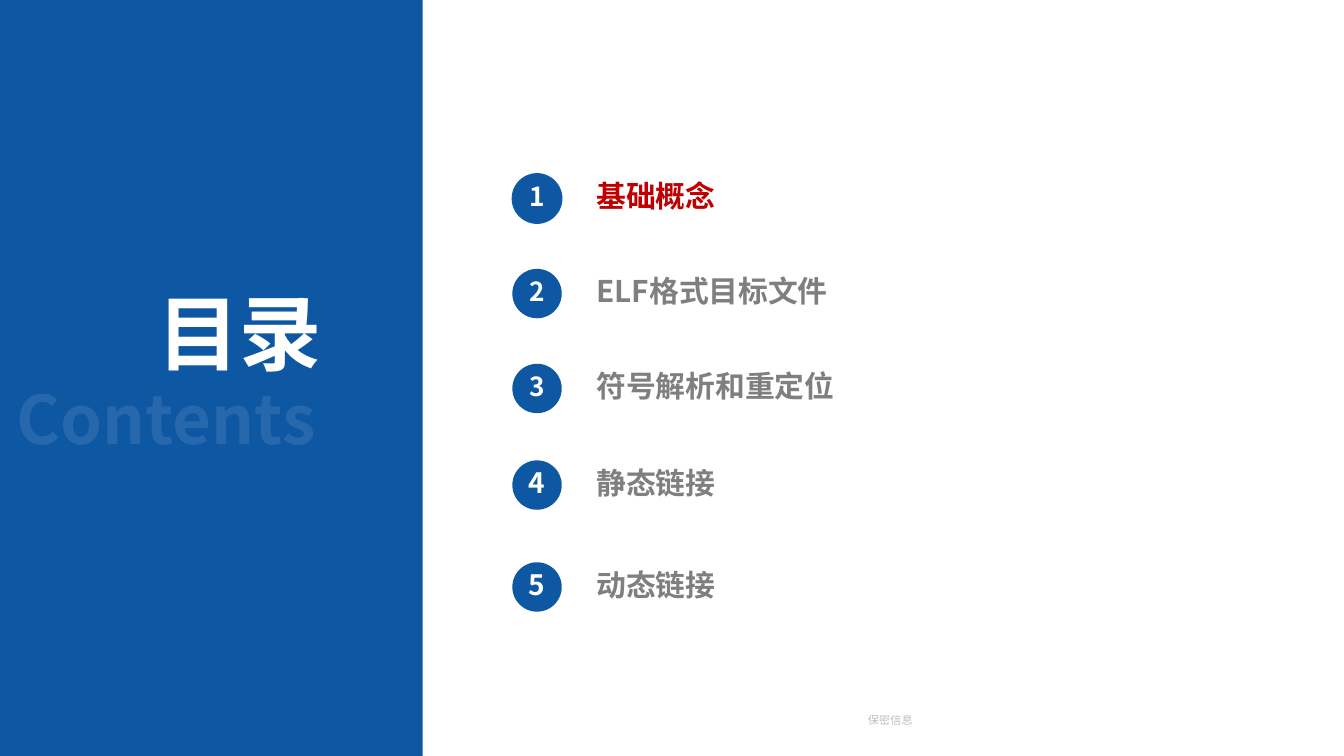
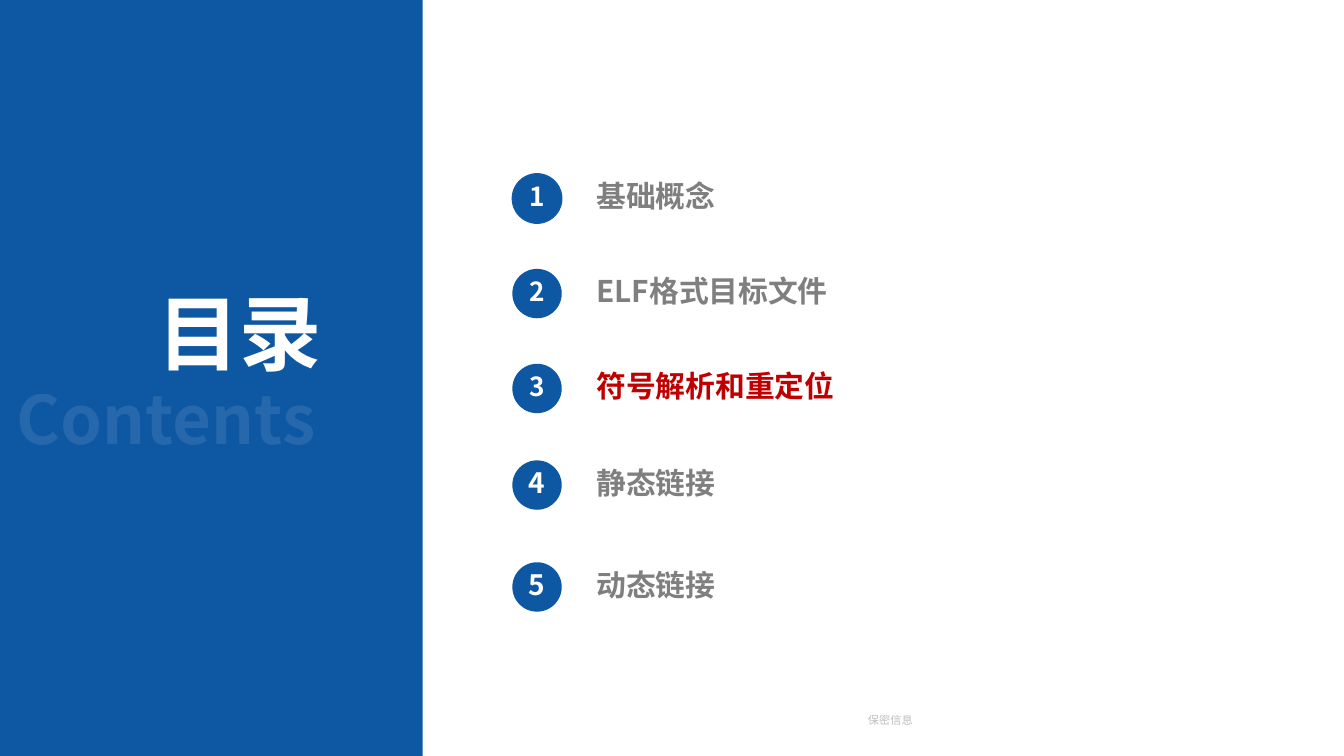
import lxml.etree
import pptx
import pptx.dml.color
import pptx.enum.shapes
import pptx.enum.text
import pptx.oxml.ns
import pptx.util

Pt = pptx.util.Pt
ALIGN = pptx.enum.text.PP_ALIGN
SHAPE = pptx.enum.shapes.MSO_SHAPE

FONT = "Noto Sans CJK SC"
BLUE, OUTLINE, WHITE = "0E57A2", "0F5BA9", "FFFFFF"
GREY, RED = "7F7F7F", "C00000"

# chapter title, vertical centre of its row, size of its number
CHAPTERS = [
    ("基础概念", 141.8, 18.7),
    ("ELF格式目标文件", 209.7, 18.7),
    ("符号解析和重定位", 277.5, 18.7),
    ("静态链接", 346.5, 20),
    ("动态链接", 419.3, 20),
]
HIGHLIGHTED = (1, 3)


def color(hex_string):
    return pptx.dml.color.RGBColor.from_string(hex_string)


class ContentsDeck:
    circle_size = 35.3
    circle_middle = 383.6
    label_left = 419
    text_rise = 2  # lifts text so that it looks centred beside its circle

    def __init__(self):
        self.deck = pptx.Presentation()
        self.deck.slide_width, self.deck.slide_height = Pt(960), Pt(540)
        self.layout = self.deck.slide_layouts[5]
        self.slide = None

    def add_slide(self):
        self.slide = self.deck.slides.add_slide(self.layout)

    def shape(self, shapes, kind, left, top, width, height, fill, line=None):
        shape = shapes.add_shape(kind, Pt(left), Pt(top), Pt(width), Pt(height))
        shape.shadow.inherit = False
        shape.fill.solid()
        shape.fill.fore_color.rgb = color(fill)
        if line:
            shape.line.color.rgb = color(line)
            shape.line.width = Pt(1)
        else:
            shape.line.fill.background()
        return shape

    def set_text(self, box, text, size, ink, bold=True, align=ALIGN.LEFT,
                 wrap=True, opacity=100):
        frame = box.text_frame
        frame.word_wrap = wrap
        frame.auto_size = pptx.enum.text.MSO_AUTO_SIZE.NONE
        frame.vertical_anchor = pptx.enum.text.MSO_ANCHOR.MIDDLE
        frame.margin_left = frame.margin_right = Pt(7.2)
        frame.margin_top = frame.margin_bottom = 0
        para = frame.paragraphs[0]
        para.alignment = align
        span = para.add_run()
        span.text = text
        span.font.name = FONT
        span.font.size = Pt(size)
        span.font.bold = bold
        span.font.color.rgb = color(ink)
        properties = span.font._element
        qn = pptx.oxml.ns.qn
        if opacity < 100:
            ink_element = properties.find(".//" + qn("a:srgbClr"))
            alpha = lxml.etree.SubElement(ink_element, qn("a:alpha"))
            alpha.set("val", str(opacity * 1000))
        east_asian = lxml.etree.Element(qn("a:ea"), typeface=FONT)
        properties.find(qn("a:latin")).addnext(east_asian)

    def text(self, shapes, left, top, width, height, *content, **style):
        box = shapes.add_textbox(Pt(left), Pt(top), Pt(width), Pt(height))
        self.set_text(box, *content, **style)
        return box

    def dress_layout(self):
        """Draw the shared panel and texts, then move them into the layout."""
        shapes = self.slide.shapes
        shared = [
            self.shape(shapes, SHAPE.RECTANGLE, 0, 0, 302, 540, BLUE),
            self.text(shapes, 474, 500, 324, 29, "保密信息", 8, GREY,
                      bold=False, align=ALIGN.CENTER, opacity=50),
            self.text(shapes, 4.5, 260, 234, 77, "Contents", 48, WHITE,
                      wrap=False, opacity=10),
        ]
        for number, shape in enumerate(shared, 101):
            shape.element.nvSpPr.cNvPr.set("id", str(number))
            self.layout.shapes.element.append(shape.element)

    def title(self, text):
        title = self.slide.shapes.title
        title.left, title.top = Pt(105), Pt(192)
        title.width, title.height = Pt(133), Pt(90)
        self.set_text(title, text, 58.7, WHITE, wrap=False)

    def badge(self, number, middle, size):
        shapes = self.slide.shapes.add_group_shape().shapes
        diameter = self.circle_size
        left, top = self.circle_middle - diameter / 2, middle - diameter / 2
        self.shape(shapes, SHAPE.FLOWCHART_CONNECTOR, left, top, diameter,
                   diameter, BLUE, OUTLINE if number == 1 else None)
        self.text(shapes, left, top - self.text_rise, diameter, diameter,
                  str(number), size, WHITE, align=ALIGN.CENTER)

    def label(self, text, middle, ink):
        height = 34
        self.text(self.slide.shapes, self.label_left,
                  middle - height / 2 - self.text_rise, 475, height,
                  text, 21.3, ink)

    def contents(self, highlighted):
        self.title("目录")
        for number, (chapter, middle, size) in enumerate(CHAPTERS, 1):
            self.badge(number, middle, size)
            self.label(chapter, middle, RED if number == highlighted else GREY)


def main():
    show = ContentsDeck()
    for position, highlighted in enumerate(HIGHLIGHTED):
        show.add_slide()
        if position == 0:
            show.dress_layout()
        show.contents(highlighted)
    show.deck.save("out.pptx")


if __name__ == "__main__":
    main()
